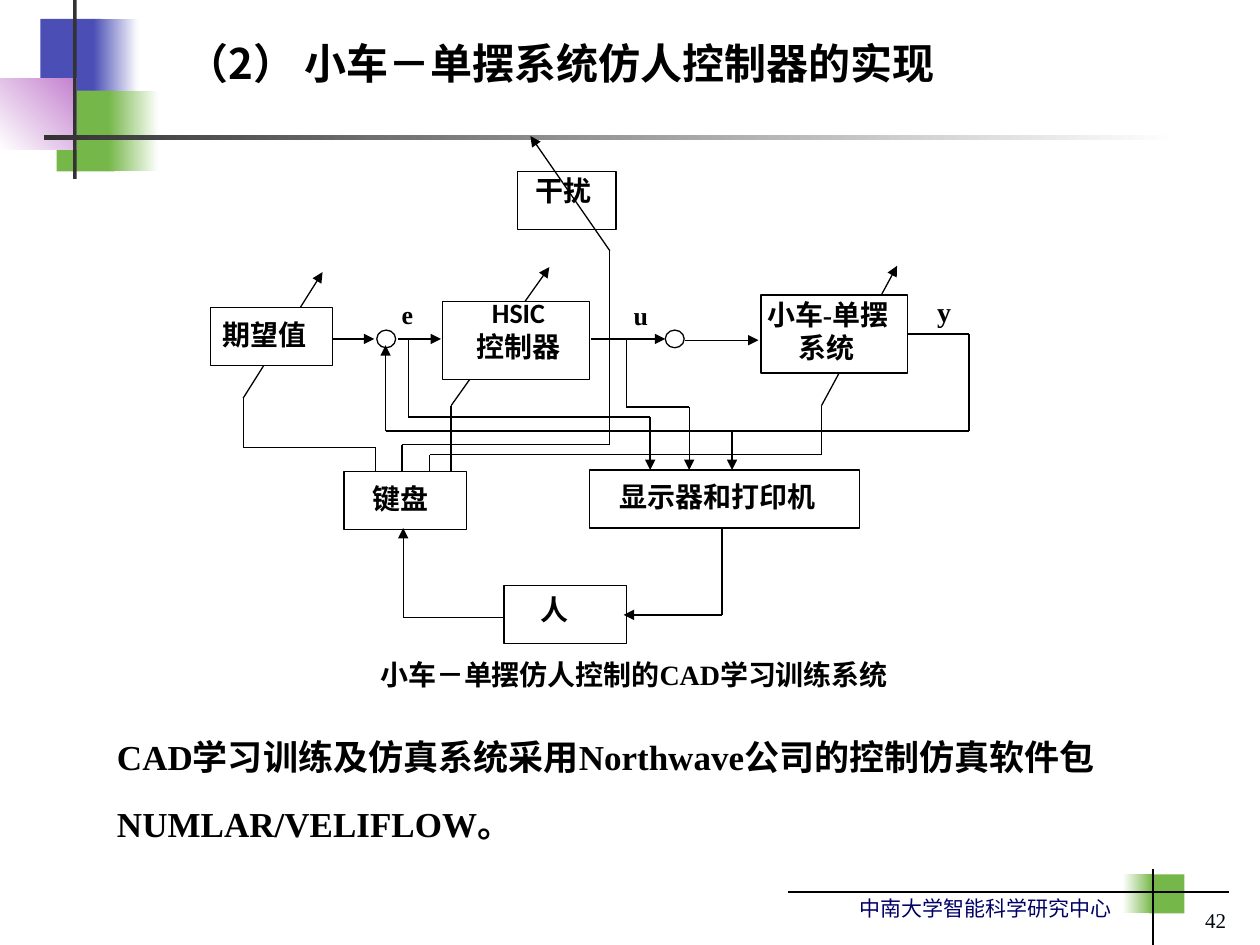
from dataclasses import dataclass

from lxml import etree
from pptx import Presentation, util as u
from pptx.dml.color import RGBColor
from pptx.enum import shapes, text
from pptx.oxml.ns import qn

# Every length is in cells of a grid laid over the slide
COLUMNS, ROWS = 100, 75


@dataclass(frozen=True)
class Theme:
    ink: str = "000000"
    paper: str = "FFFFFF"
    bar: str = "333333"
    blue: str = "4B4EB5"
    green: str = "76B749"
    purple: str = "C481CF"
    footer: str = "000066"
    number: str = "03070F"
    serif: str = "Times New Roman"
    sans: str = "Calibri"
    cjk: str = "Noto Sans CJK SC"
    title_size: float = 24
    body_size: float = 20
    label_size: float = 16
    signal_size: float = 14.8
    footer_size: float = 12
    body_leading: float = 38.8
    line_width: float = 0.75


THEME = Theme()

# Decoration: cells, colours (two make a gradient), gradient angle
DECORATION = [
    ((3.2, 1.5, 4.8, 6.4), [THEME.blue], 0),
    ((7.4, 1.5, 3.6, 6.4), [THEME.blue, THEME.paper], 0),
    ((4.5, 7.2, 4.6, 6.4), [THEME.green], 0),
    ((8.6, 7.2, 4, 6.4), [THEME.green, THEME.paper], 0),
    ((0, 6.2, 6.1, 5.7), [THEME.paper, THEME.purple], 45),
    ((5.8, 0, 0.3, 14.2), [THEME.bar], 0),
    ((3.5, 10.7, 90, 0.4), [THEME.bar, THEME.paper], 0),
    ((91.2, 69.4, 2.8, 3.1), [THEME.green], 0),
    ((89.1, 69.4, 2.4, 3.1), [THEME.paper, THEME.green], 0),
]
FOOTER_RULES = [[(62.5, 70.8), (97.5, 70.8)], [(91.5, 69), (91.5, 75)]]

# Blocks: cells, filled or open
BLOCKS = [
    ((41.1, 13.6, 7.8, 4.6), False),
    ((16.7, 24.4, 9.7, 4.6), True),
    ((35.1, 23.9, 11.7, 6.2), True),
    ((60.4, 23.4, 11.6, 6.2), True),
    ((27.3, 37.4, 9.7, 4.6), False),
    ((46.8, 37.3, 21.4, 4.6), False),
    ((40, 46.5, 9.7, 4.6), False),
]
SUMMING_POINTS = [(29.9, 26.2, 1.5, 1.4), (52.8, 26.2, 1.5, 1.4)]

# Wires end in an arrowhead; these three pass behind the filled blocks
KEYBOARD_TOP, DISPLAY_TOP, FEEDBACK_ROW = 37.4, 37.3, 34.2
TUNING_WIRES = [
    [(29.8, KEYBOARD_TOP), (29.8, 35.5), (19.3, 35.5), (19.3, 31.6), (25.6, 21.6)],
    [(35.8, KEYBOARD_TOP), (35.8, 32.2), (43.6, 21.2)],
    [(34.1, KEYBOARD_TOP), (34.1, 36.1), (65.2, 36.1), (65.2, 32.2), (71.2, 21.1)],
]
WIRES = [
    # Forward path
    [(26.4, 26.9), (29.7, 26.9)],
    [(31.6, 26.9), (35, 26.9)],
    [(46.9, 26.9), (52.8, 26.9)],
    [(54.4, 27), (60.2, 27)],
    # Disturbance and feedback
    [(31.9, KEYBOARD_TOP), (31.9, 35.3), (48.4, 35.3), (48.4, 19.9), (42.1, 10.8)],
    [(72, 26.5), (76.9, 26.5), (76.9, FEEDBACK_ROW), (30.6, FEEDBACK_ROW), (30.6, 27.4)],
    # Signals to the display
    [(32.4, 26.9), (32.4, 33.1), (51.6, 33.1), (51.6, DISPLAY_TOP)],
    [(49.7, 27), (49.7, 32.3), (54.7, 32.3), (54.7, DISPLAY_TOP)],
    [(58.1, FEEDBACK_ROW), (58.1, DISPLAY_TOP)],
    # The operator's loop
    [(57.3, 41.9), (57.3, 48.8), (49.5, 48.8)],
    [(40, 49), (32, 49), (32, 41.9)],
]

LEFT, CENTER, RIGHT = (text.PP_ALIGN.LEFT, text.PP_ALIGN.CENTER, text.PP_ALIGN.RIGHT)
BLOCK_STYLE = dict(font=THEME.sans, size=THEME.label_size)
SIGNAL_STYLE = dict(font=THEME.serif, size=THEME.signal_size)
FOOTER_STYLE = dict(font=THEME.serif, size=THEME.footer_size, bold=False,
                    align=RIGHT, anchor=text.MSO_ANCHOR.MIDDLE)

# Texts: cells, paragraphs as lists of runs, style
TEXTS = [
    ((13.8, 2.5, 67.5, 5), [["（2） 小车－单摆系统仿人控制器的实现"]],
     dict(font=THEME.cjk, size=THEME.title_size)),
    ((41.5, 13.3, 9.7, 4.6), [["干扰"]], BLOCK_STYLE),
    ((16.7, 24.7, 11.6, 6.2), [["期望值"]], BLOCK_STYLE),
    ((35.3, 23, 11.7, 8.3), [["HSIC"], ["控制器"]], dict(BLOCK_STYLE, align=CENTER)),
    ((59.9, 23.1, 13.6, 8), [["小车", "-", "单摆"], ["系统"]],
     dict(BLOCK_STYLE, last_indent=2.5)),
    ((28.6, 37.7, 9.7, 4.6), [["键盘"]], BLOCK_STYLE),
    ((48.2, 37.6, 19.4, 4.6), [["显示器和打印机"]], BLOCK_STYLE),
    ((41.9, 46.5, 9.7, 6.2), [["人"]], BLOCK_STYLE),
    ((30.9, 23.2, 5, 3.6), [["e"]], SIGNAL_STYLE),
    ((49.3, 23.3, 5.3, 3.6), [["u"]], SIGNAL_STYLE),
    ((73.4, 22.9, 5.6, 4.1), [["y"]], dict(SIGNAL_STYLE, size=THEME.label_size)),
    ((29.2, 51.7, 49.2, 3.7), [["小车－单摆仿人控制的", "CAD", "学习训练系统"]],
     dict(font=THEME.serif, size=THEME.label_size)),
    ((8.3, 55.8, 84.2, 11.8),
     [["CAD", "学习训练及仿真系统采用", "Northwave", "公司的控制仿真软件包",
       "NUMLAR/VELIFLOW", "。"]],
     dict(font=THEME.serif, size=THEME.body_size, leading=THEME.body_leading)),
    ((45.3, 70.6, 43.9, 3), [["中南大学智能科学研究中心"]],
     dict(FOOTER_STYLE, color=THEME.footer)),
    ((75, 71, 23.3, 4), [["42"]], dict(FOOTER_STYLE, color=THEME.number)),
]

deck = Presentation()
deck.slide_width, deck.slide_height = u.Inches(10), u.Inches(7.5)
page = deck.slides.add_slide(deck.slide_layouts[6])


def across(cells):
    return round(deck.slide_width * cells / COLUMNS)


def down(cells):
    return round(deck.slide_height * cells / ROWS)


def frame(cells):
    left, top, width, height = cells
    return across(left), down(top), across(width), down(height)


def add_shape(kind, cells, colors=(), angle=0, outlined=False):
    shape = page.shapes.add_shape(kind, *frame(cells))
    shape.shadow.inherit = False
    if len(colors) == 2:
        shape.fill.gradient()
        shape.fill.gradient_angle = angle
        for stop, color in zip(shape.fill.gradient_stops, colors):
            stop.color.rgb = RGBColor.from_string(color)
    elif colors:
        shape.fill.solid()
        shape.fill.fore_color.rgb = RGBColor.from_string(colors[0])
    else:
        shape.fill.background()
    if outlined:
        draw_line(shape.line)
    else:
        shape.line.fill.background()


def draw_line(line):
    line.color.rgb = RGBColor.from_string(THEME.ink)
    line.width = u.Pt(THEME.line_width)


def add_wire(points, arrow=True):
    for start, end in zip(points, points[1:]):
        wire = page.shapes.add_connector(
            shapes.MSO_CONNECTOR.STRAIGHT, across(start[0]), down(start[1]),
            across(end[0]), down(end[1]))
        draw_line(wire.line)
        if arrow and end == points[-1]:
            etree.SubElement(wire.line._get_or_add_ln(), qn("a:tailEnd"), type="triangle")
        etree.SubElement(wire._element.spPr, qn("a:effectLst"))


def add_text(cells, paragraphs, font, size, color=THEME.ink, bold=True, align=LEFT,
             anchor=text.MSO_ANCHOR.TOP, leading=None, last_indent=0):
    box = page.shapes.add_textbox(*frame(cells)).text_frame
    box.word_wrap = True
    box.vertical_anchor = anchor
    for index, runs in enumerate(paragraphs):
        para = box.add_paragraph() if index else box.paragraphs[0]
        para.alignment = align
        if leading:
            para.line_spacing = u.Pt(leading)
        if last_indent and index == len(paragraphs) - 1:
            para._p.get_or_add_pPr().set("marL", str(across(last_indent)))
        for words in runs:
            span = para.add_run()
            span.text = words
            span.font.name = THEME.serif if words == "-" else font
            span.font.size, span.font.bold = u.Pt(size), bold
            span.font.color.rgb = RGBColor.from_string(color)
            etree.SubElement(span._r.get_or_add_rPr(), qn("a:ea"), typeface=THEME.cjk)


# Decoration and footer rules
for cells, colors, angle in DECORATION:
    add_shape(shapes.MSO_SHAPE.RECTANGLE, cells, colors, angle)
for rule in FOOTER_RULES:
    add_wire(rule, arrow=False)

# Block diagram
for points in TUNING_WIRES:
    add_wire(points)
for cells, filled in BLOCKS:
    add_shape(shapes.MSO_SHAPE.FLOWCHART_PROCESS, cells,
              [THEME.paper] if filled else [], outlined=True)
for cells in SUMMING_POINTS:
    add_shape(shapes.MSO_SHAPE.FLOWCHART_CONNECTOR, cells, outlined=True)
for points in WIRES:
    add_wire(points)

# Title, labels, caption, body and footer
for cells, paragraphs, style in TEXTS:
    add_text(cells, paragraphs, **style)

deck.save("out.pptx")
